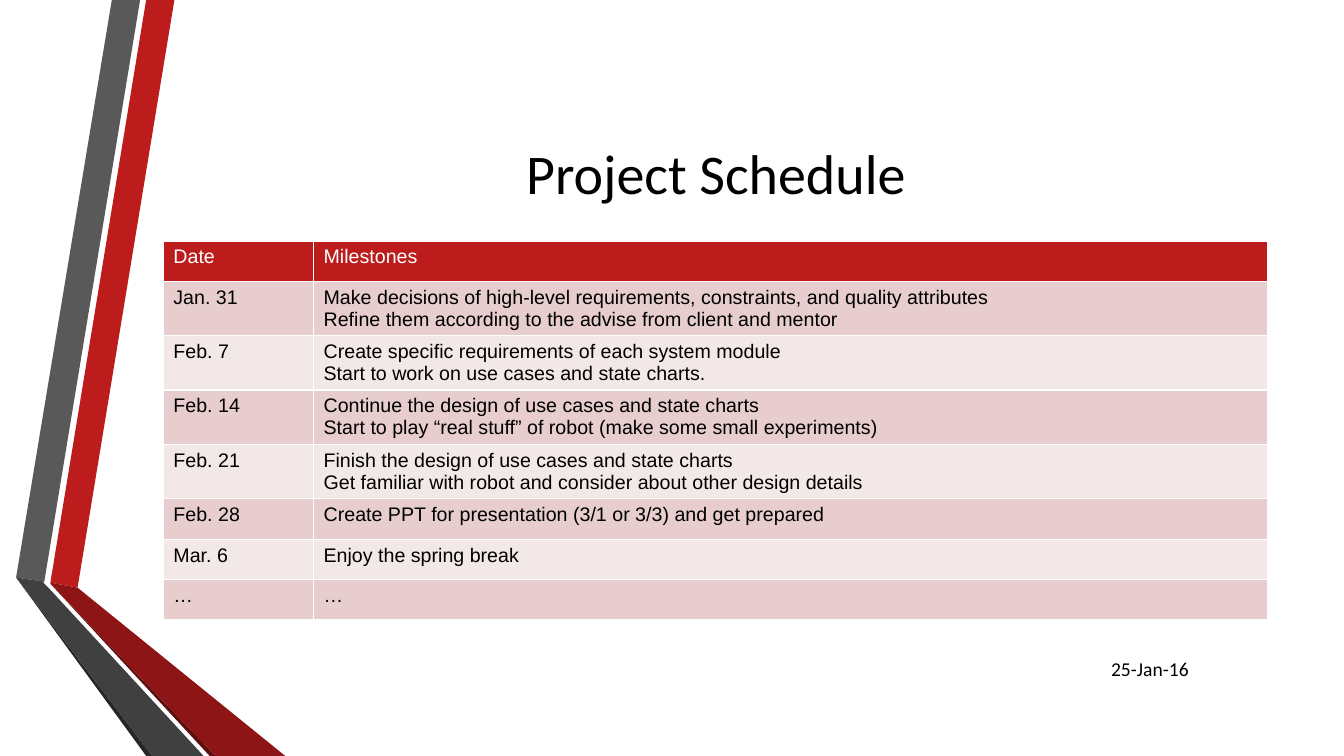
from pptx import Presentation
from pptx.dml.color import RGBColor
from pptx.enum.text import MSO_ANCHOR, PP_ALIGN
from pptx.util import Inches, Pt

TITLE = "Project Schedule"
DATE = "25-Jan-16"
SCHEDULE = [
    ("Date", "Milestones"),
    ("Jan. 31", "Make decisions of high-level requirements, constraints, and quality attributes\n"
                "Refine them according to the advise from client and mentor"),
    ("Feb. 7", "Create specific requirements of each system module\n"
               "Start to work on use cases and state charts."),
    ("Feb. 14", "Continue the design of use cases and state charts\n"
                "Start to play “real stuff” of robot (make some small experiments)"),
    ("Feb. 21", "Finish the design of use cases and state charts\n"
                "Get familiar with robot and consider about other design details"),
    ("Feb. 28", "Create PPT for presentation (3/1 or 3/3) and get prepared"),
    ("Mar. 6", "Enjoy the spring break"),
    ("…", "…"),
]
RIBBONS = [
    ("BC1C1C", [(0.5, 5.78), (0.77, 5.83), (1.73, 0), (1.45, 0)]),
    ("595959", [(1.39, 0), (1.11, 0), (0.16, 5.73), (0.44, 5.77)]),
    ("262626", [(0.16, 5.73), (1.45, 7.5), (1.51, 7.5)]),
    ("5E0E0E", [(0.5, 5.79), (2.08, 7.5), (2.14, 7.5)]),
    ("8D1515", [(0.5, 5.79), (2.14, 7.5), (2.83, 7.5), (0.77, 5.83), (0.5, 5.78)]),
    ("404040", [(2.02, 7.5), (0.48, 5.83), (0.43, 5.78), (0.44, 5.77), (0.16, 5.73), (1.51, 7.5)]),
]
HEADER_FILL = "BC1C1C"
BAND_FILLS = ["F3E8E8", "E7CDCD"]
LEFT, WIDTH = 1.62, 10.96
COLUMN_WIDTHS = [1.49, 9.46]
ROW_HEIGHT, TWO_LINE_HEIGHT = 0.4, 0.54


def color(code):
    return RGBColor.from_string(code)


def set_fill(target, code):
    target.fill.solid()
    target.fill.fore_color.rgb = color(code)


def format_text(text_frame, font_name, size, code="000000", alignment=PP_ALIGN.LEFT):
    for paragraph in text_frame.paragraphs:
        paragraph.alignment = alignment
        paragraph.font.name = font_name
        paragraph.font.size = Pt(size)
        paragraph.font.color.rgb = color(code)


def place(shape, left, top, width, height):
    shape.left, shape.top = Inches(left), Inches(top)
    shape.width, shape.height = Inches(width), Inches(height)


def add_ribbon(slide, code, points):
    start, *others = [(Inches(x), Inches(y)) for x, y in points]
    builder = slide.shapes.build_freeform(*start)
    builder.add_line_segments(others, close=True)
    shape = builder.convert_to_shape()
    shape.shadow.inherit = False
    set_fill(shape, code)
    shape.line.fill.background()


def add_schedule(slide):
    heights = [TWO_LINE_HEIGHT if "\n" in milestone else ROW_HEIGHT for _, milestone in SCHEDULE]
    frame = slide.shapes.add_table(
        len(SCHEDULE), len(COLUMN_WIDTHS),
        Inches(LEFT), Inches(2.39), Inches(WIDTH), Inches(sum(heights)))
    table = frame.table
    for column, width in zip(table.columns, COLUMN_WIDTHS):
        column.width = Inches(width)
    for index, (row, entries) in enumerate(zip(table.rows, SCHEDULE)):
        row.height = Inches(heights[index])
        for cell, text in zip(row.cells, entries):
            cell.text = text
            set_fill(cell, BAND_FILLS[index % 2] if index else HEADER_FILL)
            format_text(cell.text_frame, "Arial", 14, "000000" if index else "FFFFFF")


def main():
    presentation = Presentation()
    presentation.slide_width, presentation.slide_height = Inches(13.33), Inches(7.5)
    slide = presentation.slides.add_slide(presentation.slide_layouts[5])
    for code, points in RIBBONS:
        add_ribbon(slide, code, points)

    title = slide.shapes.title
    place(title, LEFT, 0.75, WIDTH, 1.92)
    title.text_frame.text = TITLE
    title.text_frame.vertical_anchor = MSO_ANCHOR.MIDDLE
    format_text(title.text_frame, "Calibri", 40, alignment=PP_ALIGN.CENTER)

    add_schedule(slide)

    date_box = slide.shapes.add_textbox(Inches(10.64), Inches(6.43), Inches(1.25), Inches(0.4))
    date_box.text_frame.word_wrap = True
    date_box.text_frame.vertical_anchor = MSO_ANCHOR.MIDDLE
    date_box.text_frame.text = DATE
    format_text(date_box.text_frame, "Calibri", 14, alignment=PP_ALIGN.RIGHT)

    presentation.save("out.pptx")


if __name__ == "__main__":
    main()
